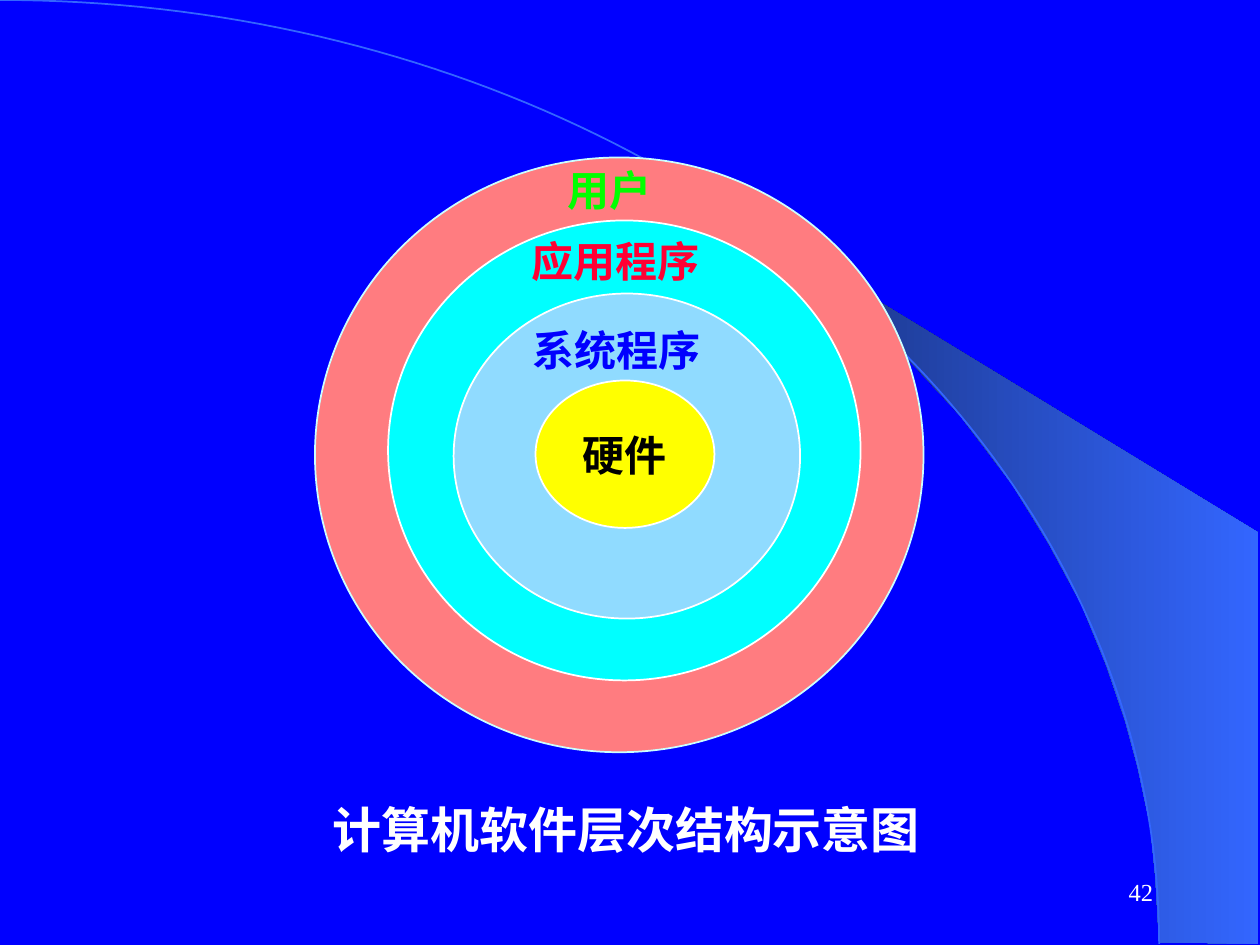
"""Build a slide of concentric rings showing the layers of computer software."""
import math
from dataclasses import dataclass

from pptx import Presentation
from pptx import util as u
from pptx.dml import color as c
from pptx.enum import shapes, text


@dataclass(frozen=True)
class Theme:
    """Colours, fonts and sizes of the slide."""
    background: str = "0000FF"
    accent: str = "3366FF"
    accent_dark: str = "182F76"
    white: str = "FFFFFF"
    black: str = "000000"
    user_ring: str = "FF7C80"
    user_edge: str = "CCFFFF"
    user_text: str = "00FF00"
    application_ring: str = "00FFFF"
    application_text: str = "FF0033"
    system_ring: str = "90DBFF"
    system_text: str = "0000FF"
    hardware_ring: str = "FFFF00"
    serif: str = "Times New Roman"
    sans: str = "Arial"
    number_size: int = 14
    label_size: int = 24
    caption_size: int = 28
    line_width: float = 1


THEME = Theme()
LEFT, CENTER, RIGHT = text.PP_ALIGN.LEFT, text.PP_ALIGN.CENTER, text.PP_ALIGN.RIGHT
TOP, MIDDLE = text.MSO_ANCHOR.TOP, text.MSO_ANCHOR.MIDDLE
BEAM = [(9.2, 7.48), (9.99, 7.49), (9.99, 4.23), (5.89, 1.73), (6.24, 1.99),
        (6.53, 2.22), (6.85, 2.5), (7.16, 2.8), (7.62, 3.3), (8.03, 3.84),
        (8.32, 4.31), (8.58, 4.79), (8.78, 5.28), (8.93, 5.72), (9.03, 6.09),
        (9.13, 6.56), (9.17, 6.96)]


def color(value):
    """Return a colour from its hex code."""
    return c.RGBColor.from_string(value)


def set_line(shape, value):
    """Give a shape its outline."""
    shape.line.color.rgb = color(value)
    shape.line.width = u.Pt(THEME.line_width)


def add_outline(page, points, close):
    """Draw a freeform through points given in inches."""
    corners = [(u.Inches(x), u.Inches(y)) for x, y in points]
    builder = page.shapes.build_freeform(*corners[0])
    builder.add_line_segments(corners[1:], close=close)
    shape = builder.convert_to_shape()
    shape.shadow.inherit = False
    return shape


def add_beam(page):
    """Draw the gradient beam at the right edge."""
    beam = add_outline(page, BEAM, True)
    beam.fill.gradient()
    beam.fill.gradient_angle = 0
    stops = zip(beam.fill.gradient_stops, (THEME.accent_dark, THEME.accent))
    for position, (stop, value) in enumerate(stops):
        stop.position = position
        stop.color.rgb = color(value)
    beam.line.fill.background()


def add_arc(page, width, height, steps=90):
    """Draw a quarter ellipse from the top left corner to the bottom right."""
    angles = [math.pi / 2 * step / steps for step in range(steps + 1)]
    points = [(width * math.sin(a), height * (1 - math.cos(a))) for a in angles]
    arc = add_outline(page, points, False)
    arc.fill.background()
    set_line(arc, THEME.accent)


def write(shape, words, size, value, font=THEME.serif, bold=True,
          align=LEFT, anchor=TOP, wrap=False):
    """Put one formatted paragraph into a shape."""
    frame = shape.text_frame
    frame.word_wrap = wrap
    frame.vertical_anchor = anchor
    para = frame.paragraphs[0]
    para.text = words
    para.alignment = align
    para.font.name = font
    para.font.size = u.Pt(size)
    para.font.bold = bold
    para.font.color.rgb = color(value)


def add_text(page, place, *args, grow=True, **options):
    """Add a text box at a place given in inches."""
    box = page.shapes.add_textbox(*map(u.Inches, place))
    write(box, *args, **options)
    if grow:
        box.text_frame.auto_size = text.MSO_AUTO_SIZE.SHAPE_TO_FIT_TEXT


def add_ring(page, place, fill, edge=THEME.white):
    """Add a filled ellipse at a place given in inches."""
    ring = page.shapes.add_shape(shapes.MSO_SHAPE.OVAL, *map(u.Inches, place))
    ring.shadow.inherit = False
    ring.fill.solid()
    ring.fill.fore_color.rgb = color(fill)
    set_line(ring, edge)
    return ring


def main():
    """Build and save the deck."""
    deck = Presentation()
    deck.slide_width, deck.slide_height = u.Inches(10), u.Inches(7.5)
    page = deck.slides.add_slide(deck.slide_layouts[6])
    page.background.fill.solid()
    page.background.fill.fore_color.rgb = color(THEME.background)

    add_beam(page)
    add_arc(page, 9.2, 7.49)
    add_text(page, (7.17, 6.83, 2.08, 0.5), "42", THEME.number_size, THEME.white,
             grow=False, bold=False, align=RIGHT, anchor=MIDDLE, wrap=True)

    add_ring(page, (2.5, 1.25, 4.83, 4.72), THEME.user_ring, THEME.user_edge)
    add_ring(page, (3.08, 1.75, 3.75, 3.65), THEME.application_ring)
    add_ring(page, (3.6, 2.33, 2.75, 2.58), THEME.system_ring)
    hardware = add_ring(page, (4.25, 3.02, 1.42, 1.17), THEME.hardware_ring)
    write(hardware, "硬件", THEME.label_size, THEME.black, align=CENTER, anchor=MIDDLE)

    labels = [("系统程序", (4.13, 2.53, 1.53, 0.5), THEME.system_text),
              ("应用程序", (4.12, 1.82, 1.53, 0.5), THEME.application_text),
              ("用户", (4.41, 1.26, 0.9, 0.5), THEME.user_text)]
    for words, place, value in labels:
        add_text(page, place, words, THEME.label_size, value)
    add_text(page, (2.54, 6.3, 4.86, 0.57), "计算机软件层次结构示意图",
             THEME.caption_size, THEME.white, font=THEME.sans, align=CENTER)

    deck.save("out.pptx")


main()
